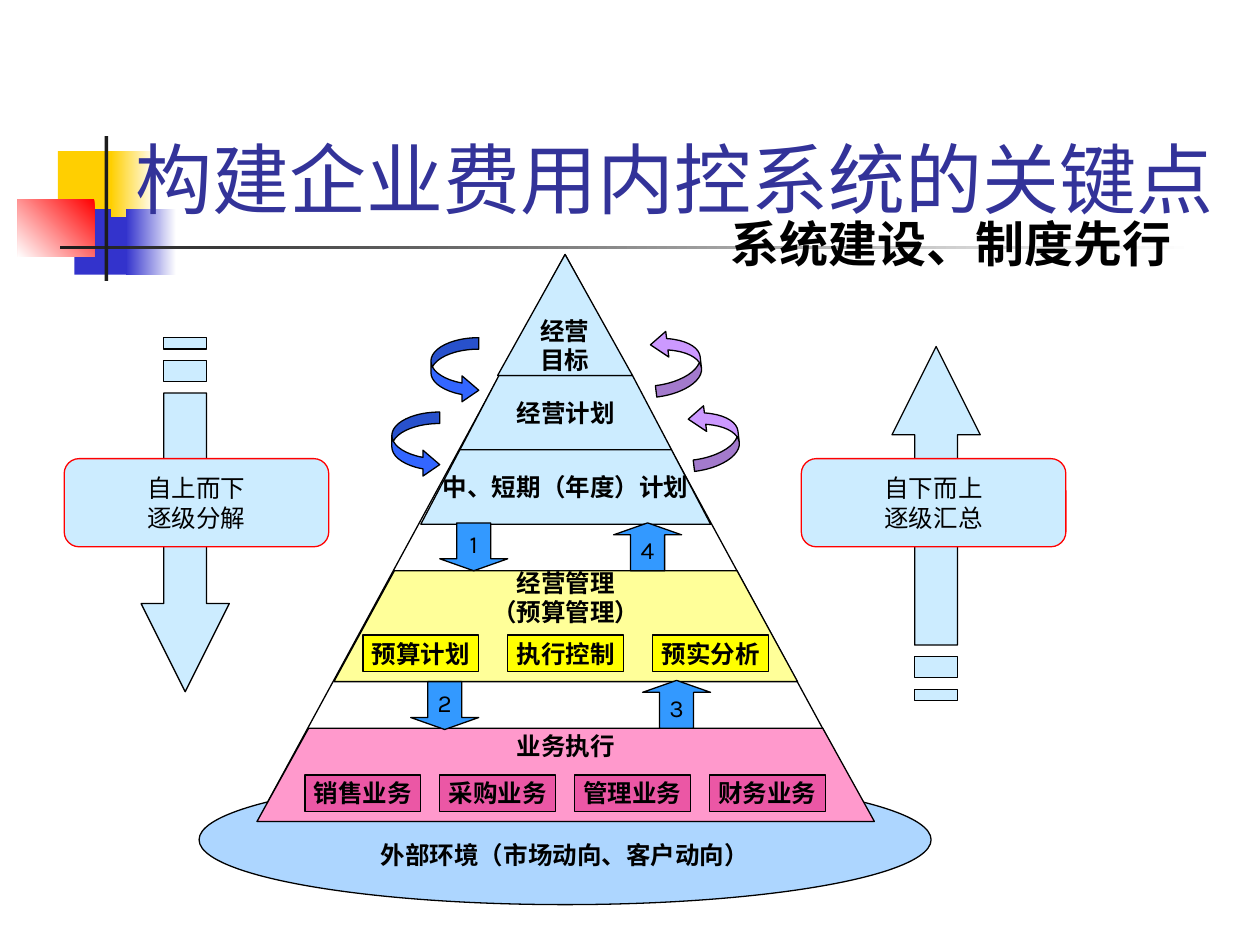
from dataclasses import dataclass

from lxml import etree
from pptx import Presentation
from pptx import util as u
from pptx.dml.color import RGBColor
from pptx.enum import shapes, text
from pptx.oxml.ns import qn

PX = 9144  # EMU per px, 100 px to the inch
KIND = shapes.MSO_SHAPE
MIDDLE, BOTTOM = text.MSO_ANCHOR.MIDDLE, text.MSO_ANCHOR.BOTTOM
CENTER, LEFT = text.PP_ALIGN.CENTER, text.PP_ALIGN.LEFT


@dataclass(frozen=True)
class Theme:
    black: str = "000000"
    white: str = "FFFFFF"
    title: str = "333399"
    gold: str = "FFCF01"
    indigo: str = "3333CC"
    red: str = "FF0000"
    bar: str = "1C1C1C"
    sky: str = "CCECFF"
    pink: str = "FF99CC"
    magenta: str = "EB57A5"
    pale_yellow: str = "FFFF99"
    yellow: str = "FFFF00"
    ground: str = "99CCFF"
    blue: str = "3366FF"
    violet: str = "CC99FF"
    step: str = "3399FF"
    title_size: int = 44
    subtitle_size: int = 28
    label_size: int = 14
    body_font: str = "Karla"
    label_font: str = "Arial"


T = Theme()


@dataclass(frozen=True)
class Box:
    x: int
    y: int
    w: int
    h: int

    def emu(self) -> tuple:
        return tuple(v * PX for v in (self.x, self.y, self.w, self.h))


@dataclass(frozen=True)
class Label:
    text: str
    size: int = T.label_size
    bold: bool = True
    font: str = T.label_font
    color: str = T.black
    align: int = CENTER
    anchor: int = MIDDLE
    wrap: bool = False
    insets: tuple = (10, 5, 10, 5)  # left, top, right, bottom


@dataclass(frozen=True)
class Layer:
    top: int
    bottom: int
    half_top: int
    half_bottom: int
    fill: str
    label: Label


@dataclass(frozen=True)
class Fade:
    """A rectangle whose colour runs from start to end."""
    box: Box
    start: str
    end: str
    angle: int = 180


AXIS = 449  # centre line of the pyramid
UPPER = (10, 0, 10, 46)  # keeps a label above the boxes inside its layer
LAYERS = [
    Layer(578, 652, 204, 245, T.pink, Label("业务执行", insets=UPPER)),
    Layer(453, 541, 136, 184, T.pale_yellow, Label("经营管理\n（预算管理）", insets=UPPER)),
    Layer(298, 357, 53, 84, T.sky, Label("经营计划")),
    Layer(357, 416, 84, 115, T.sky, Label("中、短期（年度）计划")),
]
SOLIDS = [(Box(46, 120, 48, 52), T.gold), (Box(59, 166, 46, 52), T.indigo)]
FADES = [
    Fade(Box(88, 120, 36, 52), T.white, T.gold),
    Fade(Box(100, 166, 40, 52), T.white, T.indigo),
    Fade(Box(14, 158, 61, 46), T.red, T.white, 225),
    Fade(Box(48, 195, 900, 3), T.white, T.bar),
]
# left, top, gap between left edges, fill, names
BOX_ROWS = [
    (242, 615, 107, T.magenta, ["销售业务", "采购业务", "管理业务", "财务业务"]),
    (288, 504, 115, T.yellow, ["预算计划", "执行控制", "预实分析"]),
]
CURVES = [(342, 268, 0, T.blue), (311, 327, 0, T.blue),
          (518, 261, 173.1, T.violet), (548, 320, 173.1, T.violet)]
STEPS = [("1", 349, 415, KIND.DOWN_ARROW), ("2", 326, 541, KIND.DOWN_ARROW),
         ("3", 510, 540, KIND.UP_ARROW), ("4", 487, 415, KIND.UP_ARROW)]
FLOWS = [(51, "自上而下\n逐级分解"), (636, "自下而上\n逐级汇总")]


def set_all(obj, **values) -> None:
    for name, value in values.items():
        setattr(obj, name, value)


def paint(sp, fill: str, line: str | None = T.black):
    sp.shadow.inherit = False
    sp.fill.solid()
    sp.fill.fore_color.rgb = RGBColor.from_string(fill)
    if line:
        sp.line.color.rgb = RGBColor.from_string(line)
        sp.line.width = u.Pt(0.75)
    else:
        sp.line.fill.background()
    return sp


def write(sp, label: Label) -> None:
    tf = sp.text_frame
    left, top, right, bottom = (v * PX for v in label.insets)
    set_all(tf, text=label.text, word_wrap=label.wrap, vertical_anchor=label.anchor,
            margin_left=left, margin_top=top, margin_right=right, margin_bottom=bottom)
    for p in tf.paragraphs:
        p.alignment = label.align
        for r in p.runs:
            set_all(r.font, size=u.Pt(label.size), bold=label.bold, name=label.font)
            r.font.color.rgb = RGBColor.from_string(label.color)


def draw(s, kind, box: Box, fill: str, label: Label | None = None,
         line: str | None = T.black, adjust: tuple = ()):
    sp = paint(s.shapes.add_shape(kind, *box.emu()), fill, line)
    for i, value in enumerate(adjust):
        sp.adjustments[i] = value
    if label:
        write(sp, label)
    return sp


def draw_outline(s, contours: list, fill: str):
    """Draw closed contours, each a list of points, as one shape."""
    first, *others = contours
    fb = s.shapes.build_freeform(*first[0], scale=PX)
    fb.add_line_segments(first[1:], close=True)
    for points in others:
        fb.move_to(*points[0])
        fb.add_line_segments(points[1:], close=True)
    return paint(fb.convert_to_shape(), fill)


def draw_fade(s, fade: Fade) -> None:
    sp = draw(s, KIND.RECTANGLE, fade.box, fade.start, line=None)
    sp.fill.gradient()
    sp.fill.gradient_angle = fade.angle
    for stop, color, at in zip(sp.fill.gradient_stops, (fade.start, fade.end), (0, 1)):
        stop.color.rgb = RGBColor.from_string(color)
        stop.position = at


def draw_striped_arrow(s, cx: int, tip: int, way: int) -> None:
    """way is 1 when the tail lies below the tip and -1 when it lies above."""
    def at(dx: int, dy: int) -> tuple:
        return cx + dx, tip + way * dy

    def stripe(near: int, far: int) -> list:
        return [at(-17, near), at(17, near), at(17, far), at(-17, far)]

    arrow = [at(0, 0), at(35, 70), at(17, 70), at(17, 237),
             at(-17, 237), at(-17, 70), at(-35, 70)]
    draw_outline(s, [arrow, stripe(246, 263), stripe(272, 281)], T.sky)


def draw_layer(s, layer: Layer) -> None:
    corners = [(AXIS - layer.half_top, layer.top), (AXIS + layer.half_top, layer.top),
               (AXIS + layer.half_bottom, layer.bottom), (AXIS - layer.half_bottom, layer.bottom)]
    write(draw_outline(s, [corners], layer.fill), layer.label)


def draw_headings(s) -> None:
    title = Label("构建企业费用内控系统的关键点", T.title_size, False, T.body_font, T.title,
                  LEFT, BOTTOM, True)
    write(s.shapes.add_textbox(*Box(98, 23, 880, 160).emu()), title)
    subtitle = Label("系统建设、制度先行", T.subtitle_size, True, T.body_font, T.black,
                     LEFT, text.MSO_ANCHOR.TOP, True, (41, 5, 10, 5))
    sp = s.shapes.add_textbox(*Box(539, 170, 417, 63).emu())
    write(sp, subtitle)
    sp.text_frame.paragraphs[0].line_spacing = 0.9


def draw_pyramid(s) -> None:
    draw(s, KIND.FLOWCHART_EXTRACT, Box(204, 202, 489, 450), T.white)
    ground = draw(s, KIND.OVAL, Box(158, 615, 581, 103), T.ground,
                  Label("外部环境（市场动向、客户动向）", insets=(10, 29, 10, 5)))
    color = ground._element.spPr.find(f"{qn('a:solidFill')}/{qn('a:srgbClr')}")
    etree.SubElement(color, qn("a:alpha"), val="80000")
    for layer in LAYERS:
        draw_layer(s, layer)
    draw(s, KIND.FLOWCHART_EXTRACT, Box(395, 202, 107, 96), T.sky, Label("经营\n目标"))
    for x, y, turn, fill in CURVES:
        sp = draw(s, KIND.CURVED_RIGHT_ARROW, Box(x, y, 38, 52), fill, adjust=(0.24, 0.54, 0.35))
        sp.rotation = turn
    for left, top, pitch, fill, names in BOX_ROWS:
        for i, name in enumerate(names):
            draw(s, KIND.RECTANGLE, Box(left + i * pitch, top, 92, 29), fill, Label(name))
    for number, x, y, kind in STEPS:
        draw(s, kind, Box(x, y, 54, 38), T.step,
             Label(number, bold=False, font=T.body_font), adjust=(0.5, 0.25))


def main() -> None:
    prs = Presentation()
    set_all(prs, slide_width=1000 * PX, slide_height=750 * PX)
    s = prs.slides.add_slide(prs.slide_layouts[6])
    for box, fill in SOLIDS:
        draw(s, KIND.RECTANGLE, box, fill, line=None)
    for fade in FADES:
        draw_fade(s, fade)
    draw(s, KIND.RECTANGLE, Box(83, 108, 3, 115), T.bar, line=None)
    draw_headings(s)
    draw_striped_arrow(s, 743, 275, 1)
    draw_striped_arrow(s, 147, 549, -1)
    draw_pyramid(s)
    for x, words in FLOWS:
        draw(s, KIND.ROUNDED_RECTANGLE, Box(x, 364, 210, 70), T.sky,
             Label(words, bold=False, font=T.body_font), T.red, (0.17,))
    prs.save("out.pptx")


if __name__ == "__main__":
    main()
